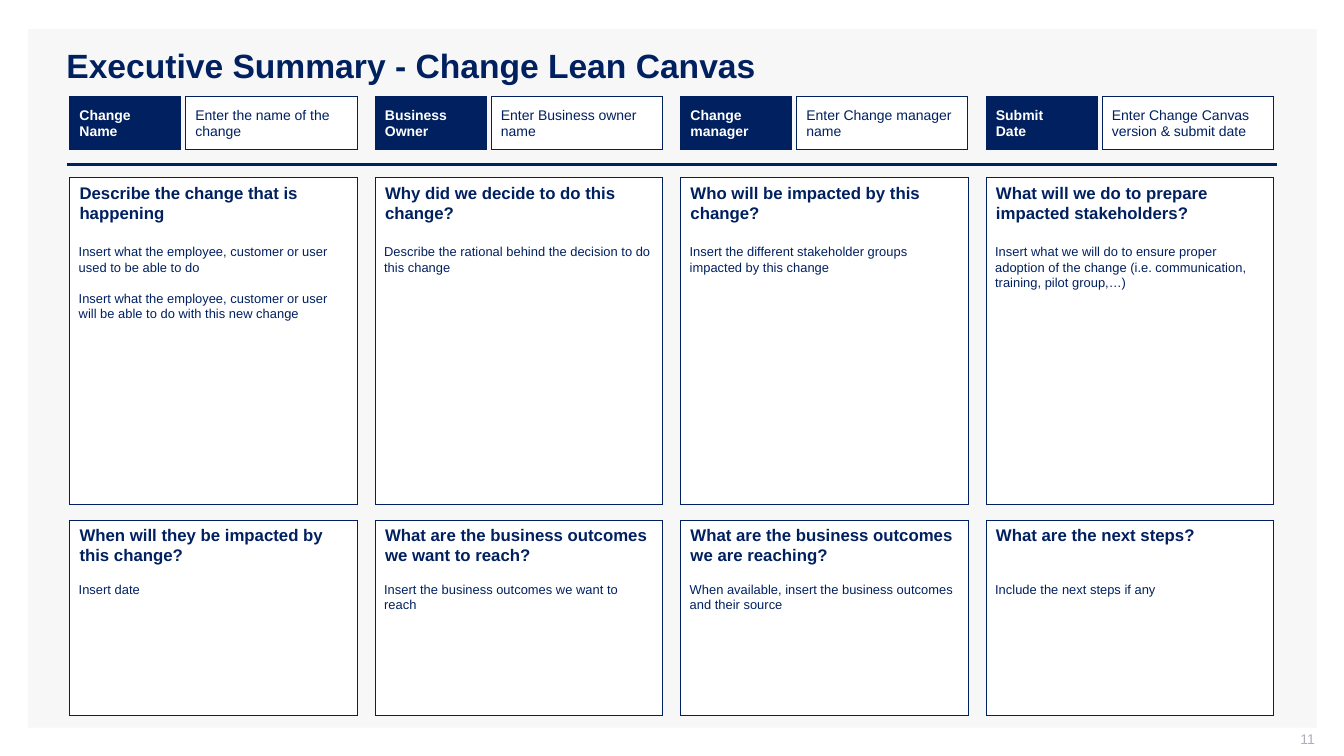
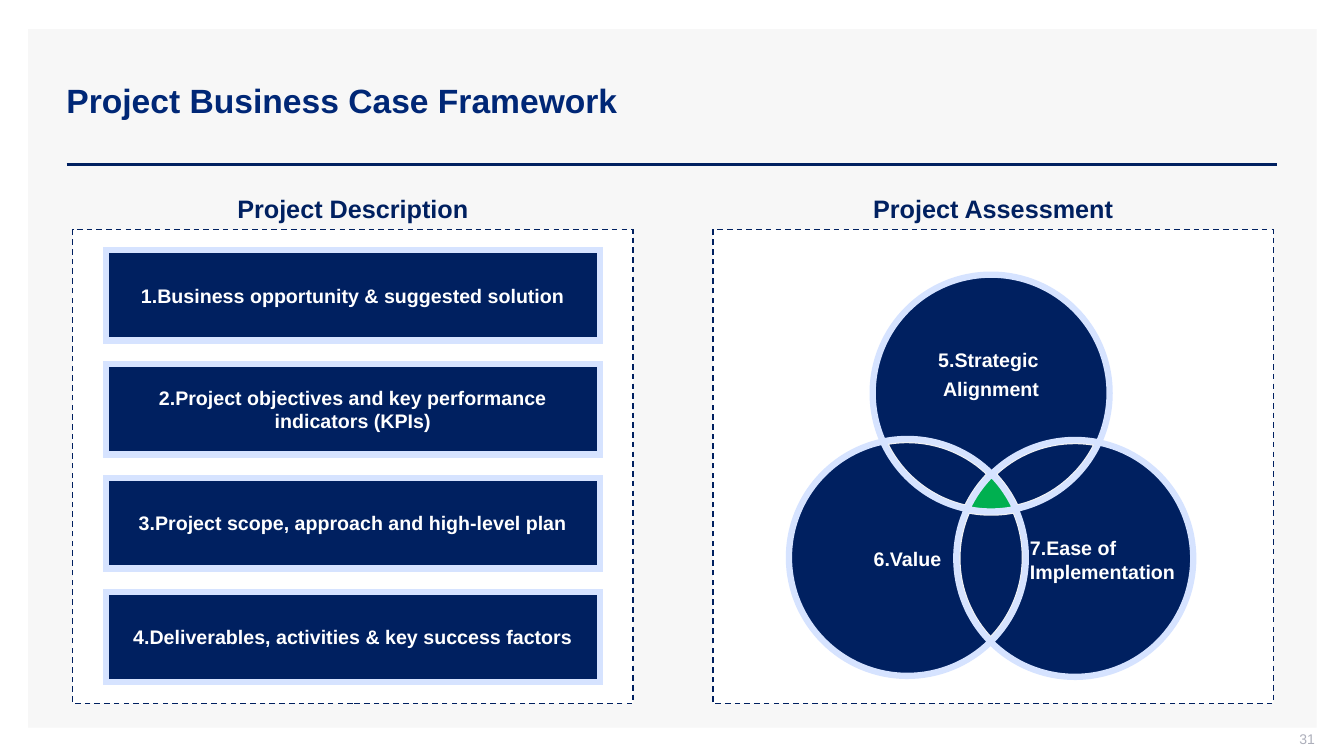
import math
from lxml import etree
from pptx import Presentation
from pptx.dml.color import RGBColor
from pptx.enum.dml import MSO_LINE
from pptx.enum.shapes import MSO_CONNECTOR, MSO_SHAPE
from pptx.enum.text import MSO_ANCHOR, PP_ALIGN
from pptx.oxml.ns import qn
from pptx.util import Inches, Pt

RECT, STRAIGHT, DASH = MSO_SHAPE.RECTANGLE, MSO_CONNECTOR.STRAIGHT, MSO_LINE.DASH
TOP, MIDDLE = MSO_ANCHOR.TOP, MSO_ANCHOR.MIDDLE
LEFT, CENTER, RIGHT = PP_ALIGN.LEFT, PP_ALIGN.CENTER, PP_ALIGN.RIGHT

FONT = "Arial"
NAVY, TITLE_BLUE, PALE = "002060", "002776", "D6E3FF"
WHITE, PANEL, OFF_WHITE, GREY, GREEN = "FFFFFF", "F7F7F7", "F2F2F2", "ADAFBB", "00B050"
INSETS = (0.1, 0.05, 0.1, 0.05)


def rgb(color):
    return RGBColor.from_string(color)


# Shared building parts
def paint(sp, fill, line=None, width=0.5, dash=None):
    sp.shadow.inherit = False
    sp.fill.solid()
    sp.fill.fore_color.rgb = rgb(fill)
    if line is None:
        sp.line.fill.background()
        return
    sp.line.color.rgb = rgb(line)
    sp.line.width = Pt(width)
    if dash:
        sp.line.dash_style = dash


def write(sp, text, size, color=NAVY, bold=False, align=LEFT, anchor=TOP,
          insets=INSETS, before=0, after=0):
    """Each line of the text becomes a paragraph."""
    tf = sp.text_frame
    tf.word_wrap = True
    tf.vertical_anchor = anchor
    (tf.margin_left, tf.margin_top,
     tf.margin_right, tf.margin_bottom) = [Inches(v) for v in insets]
    tf.text = text
    for p in tf.paragraphs:
        p.alignment = align
        p.space_before, p.space_after = Pt(before), Pt(after)
        for r in p.runs:
            r.font.name, r.font.size, r.font.bold = FONT, Pt(size), bold
            r.font.color.rgb = rgb(color)


def add_box(slide, box, fill, line=None, width=0.5, dash=None):
    sp = slide.shapes.add_shape(RECT, *[Inches(v) for v in box])
    paint(sp, fill, line, width, dash)
    if line:
        ln = sp._element.spPr.find(qn("a:ln"))
        etree.SubElement(ln, qn("a:miter"), lim="800000")
    return sp


def add_text(slide, box, text, size, **style):
    sp = slide.shapes.add_textbox(*[Inches(v) for v in box])
    write(sp, text, size, **style)


def add_base(prs, title, number, title_color=NAVY, title_anchor=TOP):
    """Grey panel, title, rule and page number."""
    slide = prs.slides.add_slide(prs.slide_layouts[6])
    add_box(slide, (0.28, 0.29, 12.78, 6.93), PANEL)
    rule = slide.shapes.add_connector(
        STRAIGHT, Inches(0.66), Inches(1.63), Inches(12.67), Inches(1.63))
    rule.line.color.rgb = rgb(NAVY)
    rule.line.width = Pt(2)
    etree.SubElement(rule._element.spPr, qn("a:effectLst"))
    add_text(slide, (0.56, 0.4, 12.11, 1.19), title, 24, color=title_color,
             bold=True, anchor=title_anchor)
    add_text(slide, (10.04, 7.25, 3, 0.21), number, 10, color=GREY,
             align=RIGHT, anchor=MIDDLE, insets=(0.1, 0, 0, 0.05))
    return slide


# Lean canvas: fields, then cards with heading, body and body height
CANVAS_FIELDS = [
    ("Change\nName", "Enter the name of the change"),
    ("Business Owner", "Enter Business owner name"),
    ("Change manager", "Enter Change manager name"),
    ("Submit\nDate", "Enter Change Canvas version & submit date"),
]
CANVAS_TOP = [
    ("Describe the change that is happening",
     "Insert what the employee, customer or user used to be able to do\n"
     "Insert what the employee, customer or user will be able to do with "
     "this new change", 0.87),
    ("Why did we decide to do this change?",
     "Describe the rational behind the decision to do this change", 0.4),
    ("Who will be impacted by this change?",
     "Insert the different stakeholder groups impacted by this change", 0.56),
    ("What will we do to prepare impacted stakeholders?",
     "Insert what we will do to ensure proper adoption of the change "
     "(i.e. communication, training, pilot group,…)", 0.71),
]
CANVAS_BOTTOM = [
    ("When will they be impacted by this change?", "Insert date", 0.4),
    ("What are the business outcomes we want to reach?",
     "Insert the business outcomes we want to reach", 0.4),
    ("What are the business outcomes we are reaching?",
     "When available, insert the business outcomes and their source", 0.4),
    ("What are the next steps?", "Include the next steps if any", 0.4),
]
COL_LEFT, COL_PITCH, COL_WIDTH = 0.69, 3.03, 2.85


def add_field(slide, box, label, hint):
    x, y, w, h = box
    label_w, gap = 1.1, 0.05
    sp = add_box(slide, (x, y, label_w, h), NAVY, NAVY)
    write(sp, label, 10, color=WHITE, bold=True, anchor=MIDDLE)
    sp = add_box(slide, (x + label_w + gap, y, w - label_w - gap, h),
                 WHITE, NAVY)
    write(sp, hint, 10, anchor=MIDDLE)


def add_card(slide, box, heading, body, body_h, body_drop):
    x, y, w, _ = box
    sp = add_box(slide, box, WHITE, NAVY)
    write(sp, heading, 12, bold=True)
    gap = 11 if "\n" in body else 0
    add_text(slide, (x, y + body_drop, w, body_h), body, 9.2,
             insets=(0.09, 0.05, 0.09, 0.05), after=gap)


def build_canvas(prs):
    slide = add_base(prs, "Executive Summary - Change Lean Canvas", "11")
    columns = zip(CANVAS_FIELDS, CANVAS_TOP, CANVAS_BOTTOM)
    for i, (field, upper, lower) in enumerate(columns):
        x = COL_LEFT + i * COL_PITCH
        add_field(slide, (x, 0.96, COL_WIDTH, 0.52), *field)
        add_card(slide, (x, 1.76, COL_WIDTH, 3.24), *upper, body_drop=0.61)
        add_card(slide, (x, 5.16, COL_WIDTH, 1.94), *lower, body_drop=0.56)


# Business case framework
DESCRIPTION_STEPS = [
    "1.Business opportunity & suggested solution",
    "2.Project objectives and key performance indicators (KPIs)",
    "3.Project scope, approach and high-level plan",
    "4.Deliverables, activities & key success factors",
]
# Clockwise from the top: text, alignment, left inset, paragraph spacing
CIRCLE_LABELS = [
    ("5.Strategic \nAlignment", CENTER, 0.1, 2),
    ("7.Ease of Implementation", LEFT, 0.39, 2),
    ("6.Value", CENTER, 0.45, 2),
]
QUARTER = math.pi / 2


def add_panel(slide, box, heading):
    x, y, w, _ = box
    heading_w = 2.84
    add_box(slide, box, WHITE, NAVY, 1, DASH)
    add_text(slide, (x + (w - heading_w) / 2, y - 0.41, heading_w, 0.4),
             heading, 18, bold=True, align=CENTER)


def add_steps(slide, box):
    x, y, w, _ = box
    for i, step in enumerate(DESCRIPTION_STEPS):
        sp = add_box(slide, (x + 0.33, y + 0.2 + i * 1.13, w - 0.66, 0.9),
                     NAVY, PALE, 4.5)
        write(sp, step, 14, color=WHITE, bold=True, align=CENTER,
              anchor=MIDDLE, before=2, after=2)


def crossings(c1, c2, radius, middle):
    """Points where two circles cross, the one nearer the middle first."""
    dx, dy = c2[0] - c1[0], c2[1] - c1[1]
    dist = math.hypot(dx, dy)
    half = math.sqrt(radius ** 2 - dist ** 2 / 4) / dist
    mx, my = (c1[0] + c2[0]) / 2, (c1[1] + c2[1]) / 2
    points = [(mx - s * dy * half, my + s * dx * half) for s in (1, -1)]
    return sorted(points, key=lambda pt: math.dist(pt, middle))


def arc(center, start, end, turn):
    """Bezier points of an arc, cut at quarters; turn 1 is clockwise."""
    (cx, cy), radius = center, math.dist(center, start)
    a0, a1 = [math.atan2(y - cy, x - cx) for x, y in (start, end)]
    sweep = turn * ((turn * (a1 - a0)) % math.tau)
    low, high = sorted((a0, a0 + sweep))
    cuts = [k * QUARTER for k in range(-8, 9) if low < k * QUARTER < high]
    stops = [low, *cuts, high][::turn]
    points = []
    for a, b in zip(stops, stops[1:]):
        k = 4 / 3 * math.tan((b - a) / 4)
        ca, sa, cb, sb = math.cos(a), math.sin(a), math.cos(b), math.sin(b)
        units = [(ca - k * sa, sa + k * ca), (cb + k * sb, sb - k * cb), (cb, sb)]
        points += [(cx + radius * ux, cy + radius * uy) for ux, uy in units]
    return points


def add_region(slide, arcs, fill, line, width):
    """Area bounded by arcs that follow one another."""
    points = [arcs[0][1]] + [pt for a in arcs for pt in arc(*a)]
    outline = [(Inches(px), Inches(py)) for px, py in points]
    fb = slide.shapes.build_freeform(*outline[0])
    fb.add_line_segments(outline[1:], close=True)
    sp = fb.convert_to_shape()
    segments = list(sp._element.iter(qn("a:lnTo")))
    for i in range(0, len(segments) - 2, 3):
        curve = etree.Element(qn("a:cubicBezTo"))
        segments[i].addprevious(curve)
        for seg in segments[i:i + 3]:
            curve.append(seg[0])
            seg.getparent().remove(seg)
    for seg in segments[len(segments) // 3 * 3:]:
        seg.getparent().remove(seg)
    paint(sp, fill, line, width)
    return sp


def add_venn(slide, box):
    x, y, w, _ = box
    radius, spread = 2.35 / 2, 0.83
    mid = x + w / 2 - 0.02
    centers = [(mid, y + 1.62), (mid + spread, y + 3.26),
               (mid - spread, y + 3.25)]
    middle = (mid, y + 2.65)
    turns = [(i, (i + 1) % 3, (i + 2) % 3) for i in range(3)]
    inner, outer = {}, {}
    for i, j, _ in turns:
        inner[i, j], outer[i, j] = crossings(centers[i], centers[j], radius, middle)
    # Areas shared by two circles
    for i, j, k in turns:
        add_region(slide, [(centers[i], outer[i, j], inner[k, i], 1),
                           (centers[k], inner[k, i], inner[j, k], -1),
                           (centers[j], inner[j, k], outer[i, j], 1)],
                   NAVY, OFF_WHITE, 6)
    # Areas of one circle, with their labels
    for (i, j, k), (text, align, inset, space) in zip(turns, CIRCLE_LABELS):
        sp = add_region(slide, [(centers[i], outer[k, i], outer[i, j], 1),
                                (centers[j], outer[i, j], inner[j, k], -1),
                                (centers[k], inner[j, k], outer[k, i], -1)],
                        NAVY, PALE, 4.5)
        write(sp, text, 14, color=WHITE, bold=True, align=align, anchor=MIDDLE,
              insets=(inset, 0.05, 0.1, 0.05), before=space, after=space)
    # Area shared by all
    add_region(slide, [(centers[i], inner[k, i], inner[i, j], 1)
                       for i, j, k in turns], GREEN, PALE, 4.5)


def build_framework(prs):
    slide = add_base(prs, "Project Business Case Framework", "31",
                     TITLE_BLUE, MIDDLE)
    assessment = (7.07, 2.28, 5.56, 4.7)
    description = (0.72, 2.28, 5.56, 4.7)
    add_panel(slide, assessment, "Project Assessment")
    add_venn(slide, assessment)
    add_panel(slide, description, "Project Description")
    add_steps(slide, description)


def main():
    prs = Presentation()
    prs.slide_width, prs.slide_height = Inches(13.33), Inches(7.5)
    build_canvas(prs)
    build_framework(prs)
    prs.save("out.pptx")


if __name__ == "__main__":
    main()
